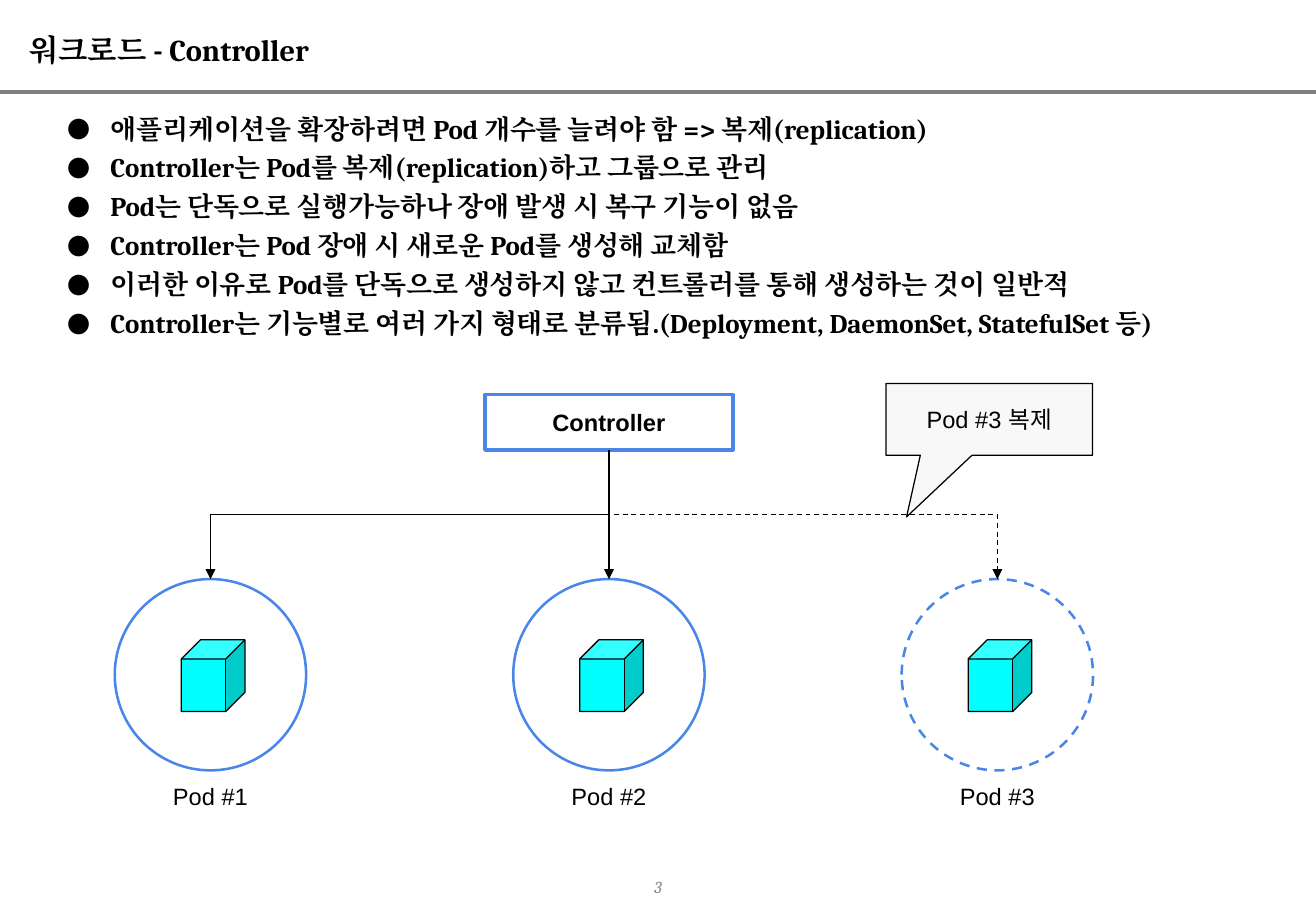
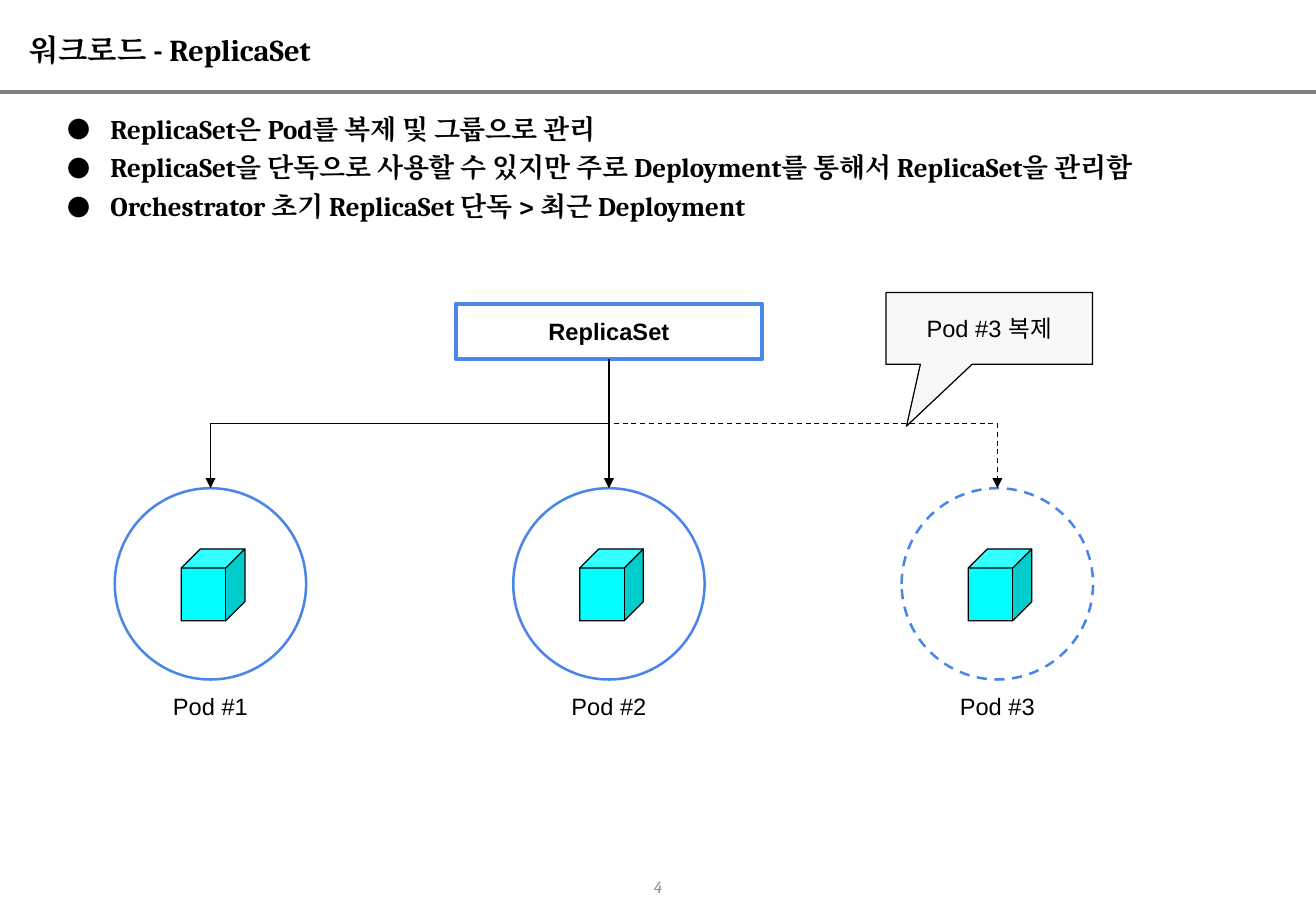
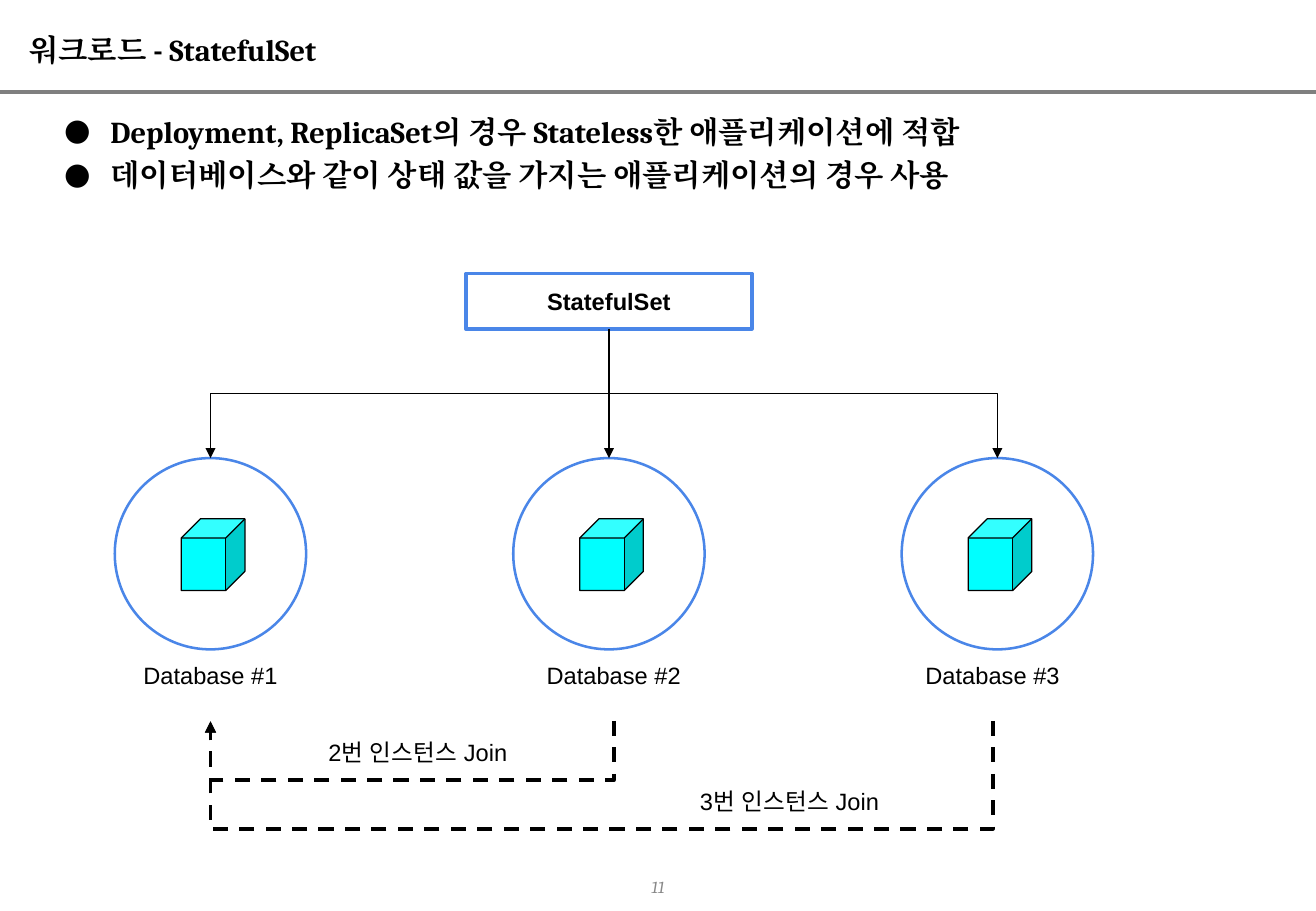
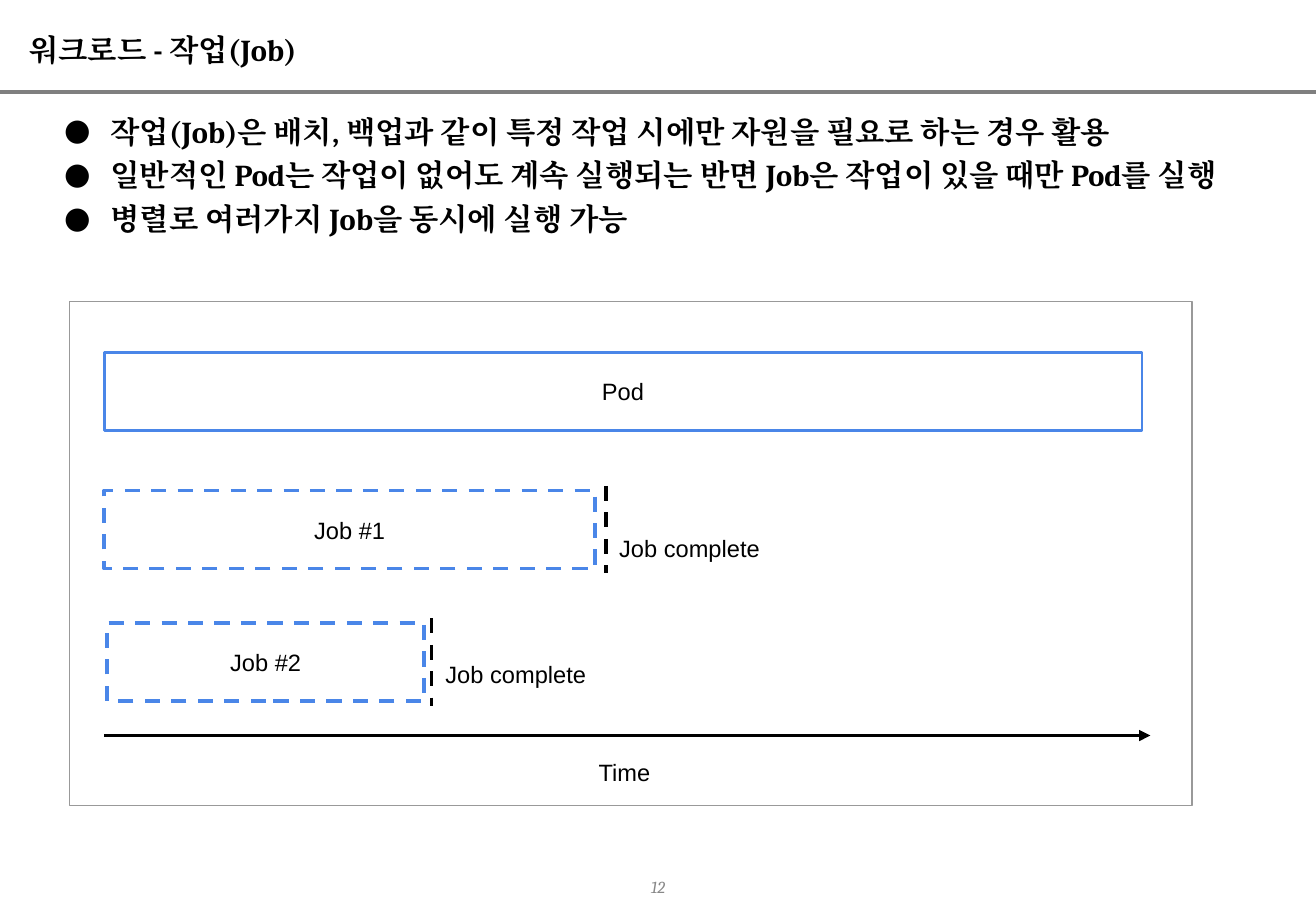
"""Build four slides that explain workload controllers and jobs."""
import dataclasses

import pptx
import pptx.dml.color
import pptx.enum.dml
import pptx.enum.shapes
import pptx.enum.text
import pptx.oxml.ns
import pptx.util
from lxml import etree

Cm = pptx.util.Cm
Pt = pptx.util.Pt
qn = pptx.oxml.ns.qn
ALIGN = pptx.enum.text.PP_ALIGN
ANCHOR = pptx.enum.text.MSO_ANCHOR
SHAPE = pptx.enum.shapes.MSO_SHAPE
CONNECTOR = pptx.enum.shapes.MSO_CONNECTOR


@dataclasses.dataclass(frozen=True)
class Theme:
    black: str = "000000"
    rule: str = "7F7F7F"
    number: str = "888888"
    frame: str = "999999"
    blue: str = "4A86E8"
    cyan: str = "00FFFF"
    callout: str = "F8F8F8"
    heading_font: str = "Cambria"
    diagram_font: str = "Arial"
    title_size: int = 18
    diagram_size: int = 14
    number_size: int = 10
    thin: float = 0.75
    medium: float = 1.5
    thick: float = 2.25


theme = Theme()


def write(box, lines, font=theme.diagram_font, size=theme.diagram_size, color=theme.black,
          bold=False, italic=False, align=ALIGN.CENTER, anchor=ANCHOR.MIDDLE,
          inset=0.25, bullet_indent=None):
    frame = box.text_frame
    frame.word_wrap = True
    frame.vertical_anchor = anchor
    frame.margin_left = frame.margin_right = Cm(0.25)
    frame.margin_top = frame.margin_bottom = Cm(inset)
    for index, line in enumerate(lines):
        para = frame.paragraphs[0] if index == 0 else frame.add_paragraph()
        para.alignment = align
        if bullet_indent:
            para.line_spacing = 1.2
            properties = para._p.get_or_add_pPr()
            properties.set("marL", str(Cm(1.27)))
            properties.set("indent", str(-Cm(bullet_indent)))
            bullet_color = etree.SubElement(properties, qn("a:buClr"))
            etree.SubElement(bullet_color, qn("a:srgbClr"), val=color)
            etree.SubElement(properties, qn("a:buFont"), typeface=font)
            etree.SubElement(properties, qn("a:buChar"), char="●")
        span = para.add_run()
        span.text = line
        span.font.size = Pt(size)
        span.font.bold = bold
        span.font.italic = italic
        span.font.color.rgb = pptx.dml.color.RGBColor.from_string(color)
        span.font.name = font
        for script in ("a:ea", "a:cs"):
            etree.SubElement(span._r.rPr, qn(script), typeface=font)


def outline(item, color, width, dashed=False, arrow=False, fill=None):
    item.line.color.rgb = pptx.dml.color.RGBColor.from_string(color)
    item.line.width = Pt(width)
    if dashed:
        item.line.dash_style = pptx.enum.dml.MSO_LINE.DASH
    if arrow:
        etree.SubElement(item.line._get_or_add_ln(), qn("a:tailEnd"), type="triangle")
    etree.SubElement(item._element.spPr, qn("a:effectLst"))
    if fill:
        item.fill.solid()
        item.fill.fore_color.rgb = pptx.dml.color.RGBColor.from_string(fill)
    elif hasattr(item, "fill"):
        item.fill.background()


pages = [
    dict(number=3, title="워크로드 - Controller", size=16, indent=0.91, bullets=[
        "애플리케이션을 확장하려면 Pod 개수를 늘려야 함 => 복제(replication)",
        "Controller는 Pod를 복제(replication)하고 그룹으로 관리",
        "Pod는 단독으로 실행가능하나 장애 발생 시 복구 기능이 없음",
        "Controller는 Pod 장애 시 새로운 Pod를 생성해 교체함",
        "이러한 이유로 Pod를 단독으로 생성하지 않고 컨트롤러를 통해 생성하는 것이 일반적",
        "Controller는 기능별로 여러 가지 형태로 분류됨.(Deployment, DaemonSet, StatefulSet 등)",
    ]),
    dict(number=4, title="워크로드 - ReplicaSet", size=16, indent=0.91, bullets=[
        "ReplicaSet은 Pod를 복제 및 그룹으로 관리",
        "ReplicaSet을 단독으로 사용할 수 있지만 주로 Deployment를 통해서 ReplicaSet을 관리함",
        "Orchestrator 초기 ReplicaSet 단독 > 최근 Deployment",
    ]),
    dict(number=11, title="워크로드 - StatefulSet", size=18, indent=0.97, bullets=[
        "Deployment, ReplicaSet의 경우 Stateless한 애플리케이션에 적합",
        "데이터베이스와 같이 상태 값을 가지는 애플리케이션의 경우 사용",
    ]),
    dict(number=12, title="워크로드 - 작업(Job)", size=18, indent=0.97, bullets=[
        "작업(Job)은 배치, 백업과 같이 특정 작업 시에만 자원을 필요로 하는 경우 활용",
        "일반적인 Pod는 작업이 없어도 계속 실행되는 반면 Job은 작업이 있을 때만 Pod를 실행",
        "병렬로 여러가지 Job을 동시에 실행 가능",
    ]),
]

deck = pptx.Presentation()
deck.slide_width = Cm(27.51)
deck.slide_height = Cm(19.05)

for page in pages:
    shapes = deck.slides.add_slide(deck.slide_layouts[6]).shapes
    rule = shapes.add_connector(CONNECTOR.STRAIGHT, 0, Cm(1.93), deck.slide_width, Cm(1.93))
    outline(rule, theme.rule, theme.thick)
    title = shapes.add_textbox(Cm(0.36), Cm(0.53), Cm(26.8), Cm(1))
    write(title, [page["title"]], theme.heading_font, theme.title_size, bold=True,
          align=ALIGN.LEFT, inset=0.13)
    body = shapes.add_textbox(Cm(0.79), Cm(2.08), Cm(26), Cm(2.03))
    write(body, page["bullets"], theme.heading_font, page["size"], bold=True,
          align=ALIGN.LEFT, anchor=ANCHOR.TOP, inset=0.13, bullet_indent=page["indent"])
    number = shapes.add_textbox(Cm(10.54), Cm(18.24), Cm(6.43), Cm(0.6))
    write(number, [str(page["number"])], theme.heading_font, theme.number_size, theme.number,
          italic=True, inset=0.13)

columns = (4.4, 12.73, 20.85)
circle_size = 4
label_width = 3.4
diagrams = [
    dict(name="Controller", top=8.25, width=5.18, member="Pod", labels=columns, replica=True),
    dict(name="ReplicaSet", top=6.35, width=6.4, member="Pod", labels=columns, replica=True),
    dict(name="StatefulSet", top=5.72, width=5.97, member="Database",
         labels=(columns[0], 12.83, 20.75), replica=False),
]

for slide, diagram in zip(deck.slides, diagrams):
    shapes = slide.shapes
    top = diagram["top"]
    circle_top = top + 3.86
    hub = shapes.add_shape(SHAPE.RECTANGLE, Cm(columns[1] - diagram["width"] / 2), Cm(top),
                           Cm(diagram["width"]), Cm(1.16))
    outline(hub, theme.blue, theme.thick)
    write(hub, [diagram["name"]], bold=True)

    links = []
    labels = []
    for order, (center, label_center) in enumerate(zip(columns, diagram["labels"]), 1):
        dashed = diagram["replica"] and order == len(columns)
        circle = shapes.add_shape(SHAPE.OVAL, Cm(center - circle_size / 2), Cm(circle_top),
                                  Cm(circle_size), Cm(circle_size))
        outline(circle, theme.blue, theme.medium, dashed)
        cube = shapes.add_shape(SHAPE.CUBE, Cm(center - 0.61), Cm(circle_top + 1.27),
                                Cm(1.33), Cm(1.5))
        cube.adjustments[0] = 0.3
        outline(cube, theme.black, theme.thin, fill=theme.cyan)
        label = shapes.add_textbox(Cm(label_center - label_width / 2),
                                   Cm(circle_top + circle_size), Cm(label_width), Cm(1.5))
        write(label, [f"{diagram['member']} #{order}"], anchor=ANCHOR.TOP)
        labels.append(label)
        links.append((hub, circle, 0, None, theme.thin, dashed))

    if diagram["replica"]:
        callout = shapes.add_shape(SHAPE.ROUNDED_RECTANGULAR_CALLOUT, Cm(18.52), Cm(top - 0.23),
                                   Cm(4.32), Cm(1.5))
        for index, value in enumerate((-0.4, 1.36, 0)):
            callout.adjustments[index] = value
        outline(callout, theme.black, theme.thin, fill=theme.callout)
        write(callout, ["Pod #3 복제"])
    else:
        joins = [(labels[1], 1.24, 6.17, 15.19, "2번 인스턴스 Join"),
                 (labels[2], 2.26, 13.94, 16.21, "3번 인스턴스 Join")]
        for source, drop, left, note_top, text in joins:
            links.append((source, labels[0], 2, drop, theme.thick, True))
            note = shapes.add_textbox(Cm(left), Cm(note_top), Cm(5.13), Cm(1))
            write(note, [text], anchor=ANCHOR.TOP)

    for start, finish, finish_site, drop, width, dashed in links:
        straight = start is hub and finish.left + finish.width // 2 == Cm(columns[1])
        kind = CONNECTOR.STRAIGHT if straight else CONNECTOR.ELBOW
        link = shapes.add_connector(kind, 0, 0, 0, 0)
        link.begin_connect(start, 2)
        link.end_connect(finish, finish_site)
        outline(link, theme.black, width, dashed, arrow=True)
        if straight:
            continue
        run = link.end_x - link.begin_x
        rise = max(link.end_y - link.begin_y, Cm(0.01))
        middle_x = (link.begin_x + link.end_x) // 2
        middle_y = (link.begin_y + link.end_y) // 2
        link.left, link.top = middle_x - rise // 2, middle_y - abs(run) // 2
        link.width, link.height = rise, abs(run)
        transform = link._element.spPr.find(qn("a:xfrm"))
        transform.set("rot", str((90 if run < 0 else 270) * 60000))
        transform.set("flipH", "0" if run < 0 else "1")
        transform.set("flipV", "0")
        turn = Cm(drop) / rise if drop else 0.5
        guides = link._element.spPr.find(qn("a:prstGeom")).find(qn("a:avLst"))
        if guides is None:
            guides = etree.SubElement(link._element.spPr.find(qn("a:prstGeom")), qn("a:avLst"))
        etree.SubElement(guides, qn("a:gd"), name="adj1", fmla=f"val {round(turn * 100000)}")

shapes = deck.slides[3].shapes
frame = shapes.add_shape(SHAPE.RECTANGLE, Cm(1.45), Cm(6.3), Cm(23.47), Cm(10.54))
outline(frame, theme.frame, theme.thin)

bars = [
    ("Pod", 2.18, 7.37, 21.69, theme.medium, False),
    ("Job #1", 2.18, 10.26, 10.26, theme.thick, True),
    ("Job #2", 2.24, 13.03, 6.63, theme.thick, True),
]
for name, left, top, width, weight, dashed in bars:
    bar = shapes.add_shape(SHAPE.RECTANGLE, Cm(left), Cm(top), Cm(width), Cm(1.63))
    outline(bar, theme.blue, weight, dashed)
    write(bar, [name])

time_lines = [
    (2.18, 15.38, 24.05, 15.38, False, True),
    (12.67, 10.16, 12.67, 11.99, True, False),
    (9.02, 12.93, 9.02, 14.76, True, False),
]
for left, top, right, bottom, dashed, arrow in time_lines:
    line = shapes.add_connector(CONNECTOR.STRAIGHT, Cm(left), Cm(top), Cm(right), Cm(bottom))
    outline(line, theme.black, theme.thick, dashed, arrow)

captions = [
    ("Time", 12.04, 15.6, 2.03),
    ("Job complete", 12.65, 10.92, 3.53),
    ("Job complete", 9.02, 13.56, 3.53),
]
for text, left, top, width in captions:
    caption = shapes.add_textbox(Cm(left), Cm(top), Cm(width), Cm(1))
    write(caption, [text], anchor=ANCHOR.TOP)

deck.save("out.pptx")
